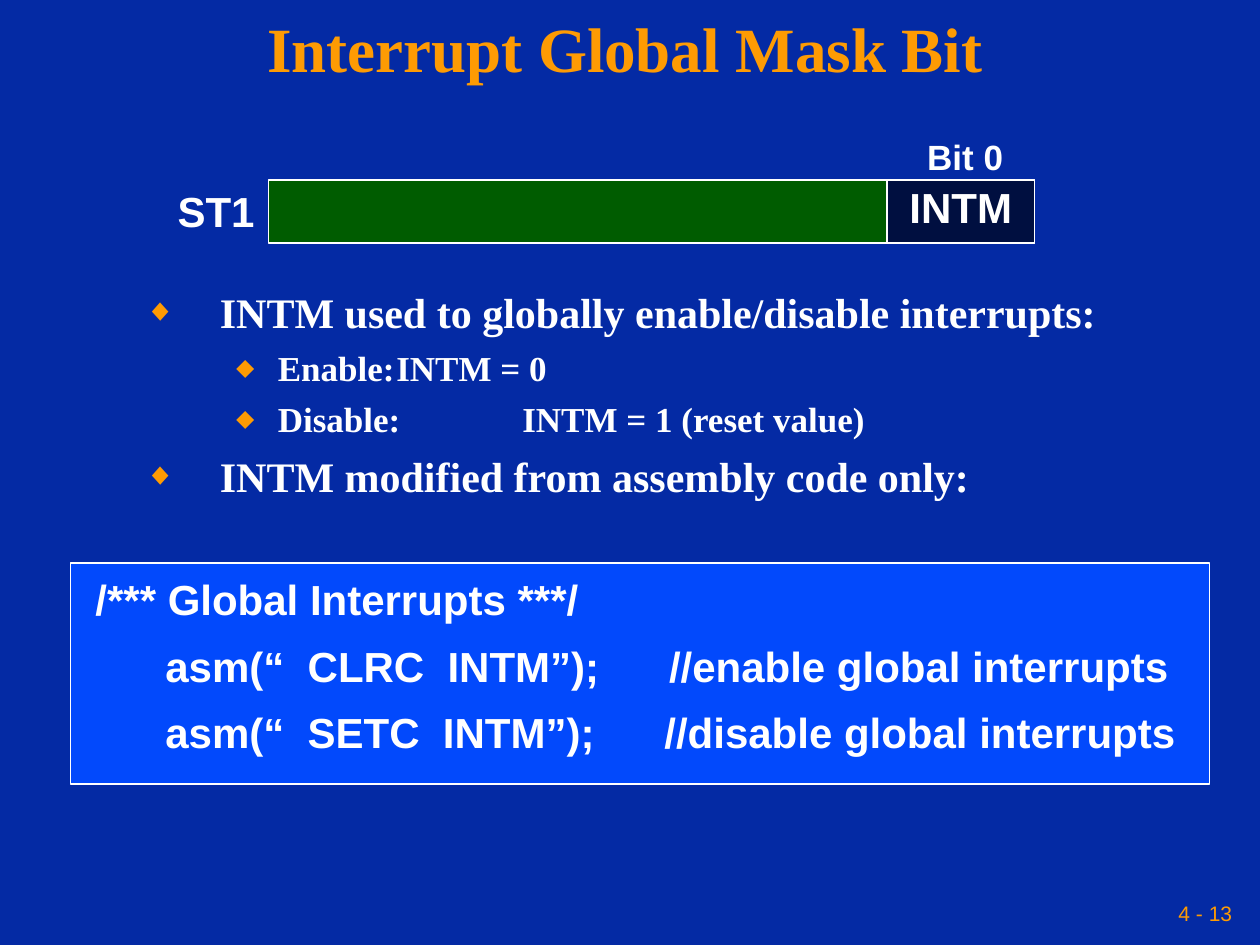
"""Build the slide about the interrupt global mask bit."""
import pptx
import pptx.dml.color
import pptx.enum.shapes
import pptx.enum.text
import pptx.oxml
import pptx.oxml.ns
import pptx.util

ALIGN = pptx.enum.text.PP_ALIGN
ANCHOR = pptx.enum.text.MSO_ANCHOR
THEME = {
    "background": "042AA4", "accent": "FE9B03", "text": "FFFFFF",
    "register": "005C00", "bit": "000F40", "code": "0249FC",
    "serif": "Times New Roman", "sans": "Arial",
    "title": 36, "large": 24, "medium": 20, "small": 12,
}

presentation = pptx.Presentation()
presentation.slide_width = pptx.util.Inches(10)
presentation.slide_height = pptx.util.Inches(7.5)
COLUMN = presentation.slide_width / 100
ROW = presentation.slide_height / 75
slide = presentation.slides.add_slide(presentation.slide_layouts[1])


def color(name):
    return pptx.dml.color.RGBColor.from_string(THEME[name])


def write(shape, lines, size, font="sans", ink="text", bold=True, align=ALIGN.LEFT,
          anchor=ANCHOR.TOP, wrap=False, margin=1, spacing=0.8, before=0):
    frame = shape.text_frame
    frame_format = {
        "auto_size": pptx.enum.text.MSO_AUTO_SIZE.NONE, "word_wrap": wrap,
        "vertical_anchor": anchor,
        "margin_left": int(margin * COLUMN), "margin_right": int(margin * COLUMN),
        "margin_top": int(ROW / 2), "margin_bottom": int(ROW / 2),
    }
    for name, value in frame_format.items():
        setattr(frame, name, value)
    for index, line in enumerate(lines):
        paragraph = frame.paragraphs[0] if index == 0 else frame.add_paragraph()
        paragraph.alignment = align
        paragraph.line_spacing = spacing
        paragraph.space_before = pptx.util.Pt(before if index else 0)
        run = paragraph.add_run()
        run.text = line
        run_format = {"name": THEME[font], "size": pptx.util.Pt(THEME[size]), "bold": bold}
        for name, value in run_format.items():
            setattr(run.font, name, value)
        run.font.color.rgb = color(ink)


slide.background.fill.solid()
slide.background.fill.fore_color.rgb = color("background")

title, body = slide.placeholders
for placeholder, (left, top, width, height) in (
    (title, (0, 0, 99.2, 8.3)),
    (body, (10.45, 23.05, 83.2, 17.2)),
):
    placeholder.left, placeholder.width = int(left * COLUMN), int(width * COLUMN)
    placeholder.top, placeholder.height = int(top * ROW), int(height * ROW)

write(title, ["Interrupt Global Mask Bit"], "title", "serif", "accent",
      align=ALIGN.CENTER, anchor=ANCHOR.MIDDLE, wrap=True, margin=0.5, spacing=0.9)

bullets = [
    (0, "INTM used to globally enable/disable interrupts:"),
    (1, "Enable:\tINTM = 0"),
    (1, "Disable:\tINTM = 1 (reset value)"),
    (0, "INTM modified from assembly code only:"),
]
levels = [
    {"mark": "◆", "margin": 6, "indent": -6, "size": "large", "before": 12},
    {"mark": "⬥", "margin": 10.6, "indent": -3.3, "size": "medium", "before": 10},
]
write(body, [line for _, line in bullets], "large", "serif", wrap=True)
for index, (level, _) in enumerate(bullets):
    style = levels[level]
    paragraph = body.text_frame.paragraphs[index]
    paragraph.level = level
    paragraph.space_before = pptx.util.Pt(style["before"] if index else 0)
    paragraph.runs[0].font.size = pptx.util.Pt(THEME[style["size"]])
    properties = paragraph._p.get_or_add_pPr()
    properties.set("marL", str(int(style["margin"] * COLUMN)))
    properties.set("indent", str(int(style["indent"] * COLUMN)))
    tabs = "".join(f'<a:tab pos="{int(stop * 10 * COLUMN)}" algn="l"/>'
                   for stop in range(1 + level, 9 + level))
    for element in (
        f'<a:buClr %s><a:srgbClr val="{THEME["accent"]}"/></a:buClr>',
        '<a:buSzPct %s val="75000"/>',
        f'<a:buChar %s char="{style["mark"]}"/>',
        f"<a:tabLst %s>{tabs}</a:tabLst>",
    ):
        properties.append(pptx.oxml.parse_xml(element % pptx.oxml.ns.nsdecls("a")))

rectangles = {}
for name, left, top, width, height in (
    ("register", 21.3, 14.3, 60.8, 5),
    ("bit", 70.4, 14.3, 11.7, 5),
    ("code", 5.6, 44.7, 90.4, 17.5),
):
    shape = slide.shapes.add_shape(
        pptx.enum.shapes.MSO_SHAPE.RECTANGLE, int(left * COLUMN), int(top * ROW),
        int(width * COLUMN), int(height * ROW))
    shape.shadow.inherit = False
    shape.fill.solid()
    shape.fill.fore_color.rgb = color(name)
    shape.line.color.rgb = color("text")
    shape.line.width = pptx.util.Pt(1)
    rectangles[name] = shape
write(rectangles["bit"], ["INTM"], "large", align=ALIGN.CENTER, anchor=ANCHOR.MIDDLE)

code_lines = [
    "/*** Global Interrupts ***/",
    "      asm(“  CLRC  INTM”);      //enable global interrupts",
    "      asm(“  SETC  INTM”);      //disable global interrupts",
]
for (left, top, width, height), lines, text_format in (
    ((13.1, 15, 8.1, 4.2), ["ST1"], {"size": "large", "align": ALIGN.CENTER}),
    ((72.2, 10.95, 8.8, 3.7), ["Bit 0"], {"size": "medium", "align": ALIGN.CENTER}),
    ((6.6, 45.8, 87.7, 14.8), code_lines, {"size": "large", "before": 15}),
    ((68.3, 70.8, 30, 3.3), ["4 - 13"],
     {"size": "small", "ink": "accent", "bold": False, "align": ALIGN.RIGHT,
      "anchor": ANCHOR.MIDDLE, "wrap": True, "margin": 0.5, "spacing": 1}),
):
    label = slide.shapes.add_textbox(int(left * COLUMN), int(top * ROW),
                                     int(width * COLUMN), int(height * ROW))
    write(label, lines, **text_format)

presentation.save("out.pptx")
